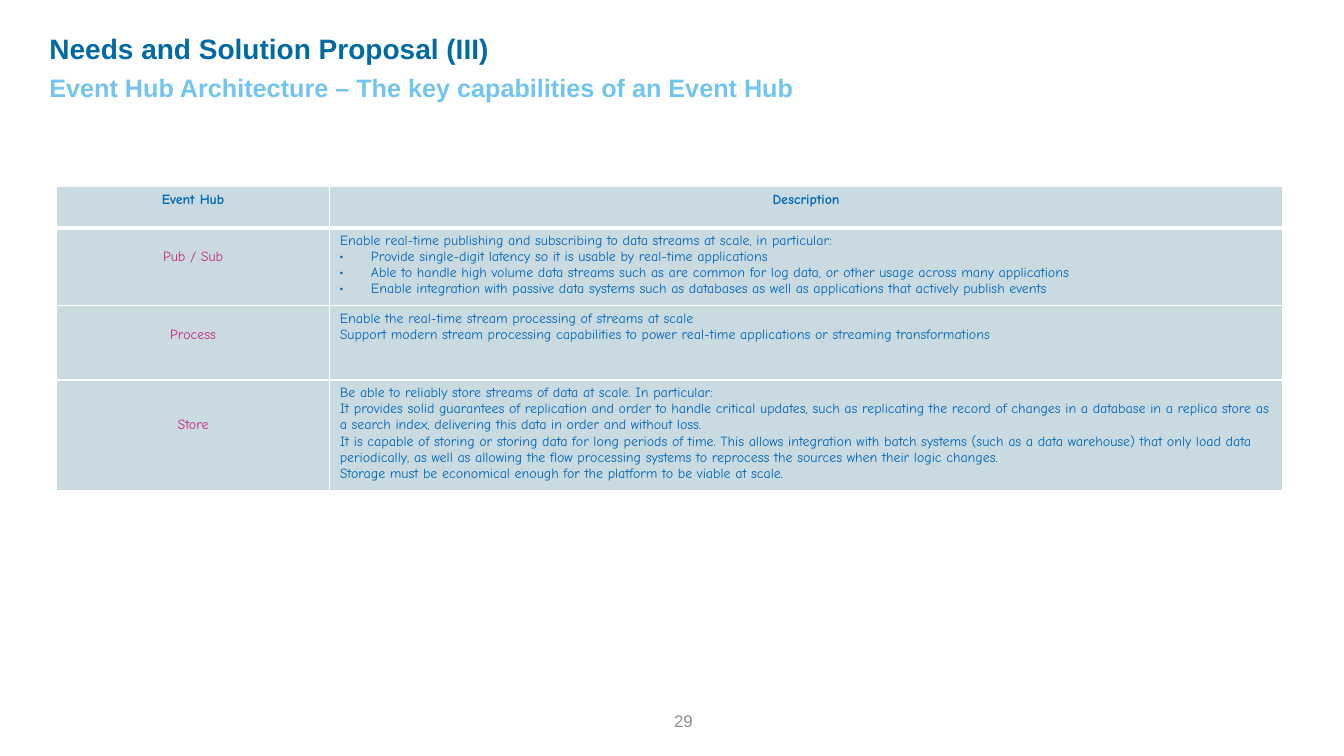
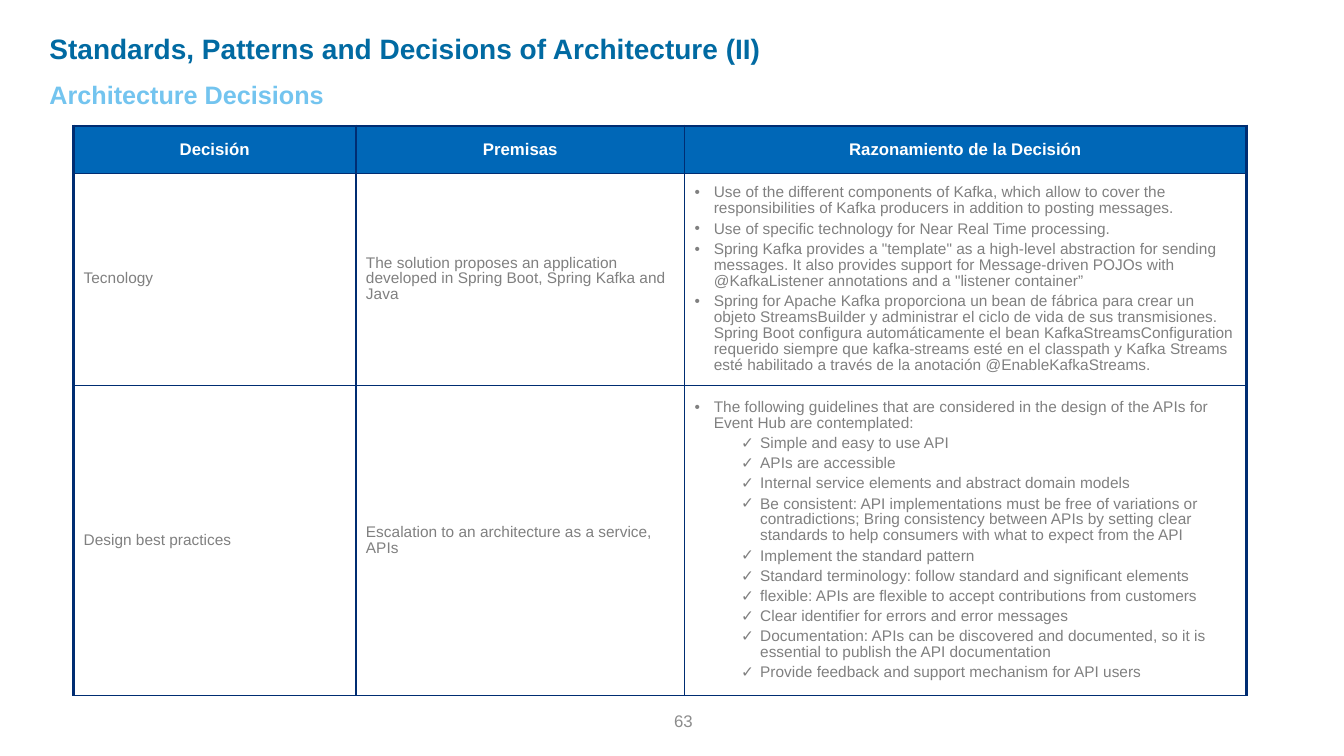
from lxml.etree import SubElement
from pptx import Presentation
from pptx.dml.color import RGBColor
from pptx.enum.text import MSO_ANCHOR as Anchor, MSO_AUTO_SIZE as AutoSize, PP_ALIGN as Align
from pptx.oxml.ns import qn
from pptx.util import Pt

PX = 9144
PAGE = (1333, 750)
TITLE, SUBTITLE, FOOTER = "016AA2", "73C4EF", "8C8C8C"
BLUE, PINK, PALE, NAVY, GREY, WHITE = "0067B7", "C5277F", "C9DAE1", "002D72", "808080", "FFFFFF"

TITLE_FONT = dict(name="Arial", size=Pt(20), bold=True, color=TITLE)
SUBTITLE_FONT = dict(name="Arial", size=Pt(18), bold=True, color=SUBTITLE)
FOOTER_FONT = dict(name="Arial", size=Pt(12), bold=False, color=FOOTER)
COMIC = dict(name="Comic Neue", size=Pt(10), bold=False, color=BLUE)
COMIC_HEAD = dict(COMIC, bold=True)
COMIC_NAME = dict(COMIC, color=PINK)
BODY = dict(name="Arial", size=Pt(11), bold=False, color=GREY)
HEAD = dict(name="Arial", size=Pt(12), bold=True, color=WHITE)

SMALL_DOT = dict(char="•", left=31, hang=31, percent=66, level=0)
DOT = dict(char="•", left=19, hang=19, percent=100, level=0)
CHECK = dict(char="✓", left=65, hang=19, percent=100, level=1)
CENTER = dict(alignment=Align.CENTER)
LEFT = dict(alignment=Align.LEFT)
TIGHT = dict(alignment=Align.LEFT, line_spacing=0.93)

CAPABILITY_HEADS = ["Event Hub", "Description"]
CAPABILITIES = [
    ("Pub / Sub", 1, [
        (None, "Enable real-time publishing and subscribing to data streams at scale, in particular:"),
        (SMALL_DOT, "Provide single-digit latency so it is usable by real-time applications"),
        (SMALL_DOT, "Able to handle high volume data streams such as are common for log data, "
                    "or other usage across many applications"),
        (SMALL_DOT, "Enable integration with passive data systems such as databases as well as "
                    "applications that actively publish events"),
    ]),
    ("Process", 1, [
        (None, "Enable the real-time stream processing of streams at scale"),
        (None, "Support modern stream processing capabilities to power real-time applications "
               "or streaming transformations"),
    ]),
    ("Store", 2, [
        (None, "Be able to reliably store streams of data at scale. In particular:"),
        (None, "It provides solid guarantees of replication and order to handle critical updates, "
               "such as replicating the record of changes in a database in a replica store as a "
               "search index, delivering this data in order and without loss."),
        (None, "It is capable of storing or storing data for long periods of time. This allows "
               "integration with batch systems (such as a data warehouse) that only load data "
               "periodically, as well as allowing the flow processing systems to reprocess the "
               "sources when their logic changes."),
        (None, "Storage must be economical enough for the platform to be viable at scale."),
    ]),
]

DECISION_HEADS = ["Decisión", "Premisas", "Razonamiento de la Decisión"]
DECISIONS = [
    ("Tecnology",
     "The solution proposes an application developed in Spring Boot, Spring Kafka and Java", [
         (DOT, "Use of the different components of Kafka, which allow to cover the "
               "responsibilities of Kafka producers in addition to posting messages."),
         (DOT, "Use of specific technology for Near Real Time processing."),
         (DOT, 'Spring Kafka provides a "template" as a high-level abstraction for sending '
               "messages. It also provides support for Message-driven POJOs with "
               '@KafkaListener annotations and a "listener container”'),
         (DOT, "Spring for Apache Kafka proporciona un bean de fábrica para crear un objeto "
               "StreamsBuilder y administrar el ciclo de vida de sus transmisiones. Spring Boot "
               "configura automáticamente el bean KafkaStreamsConfiguration requerido siempre "
               "que kafka-streams esté en el classpath y Kafka Streams esté habilitado a través "
               "de la anotación @EnableKafkaStreams."),
     ]),
    ("Design best practices",
     "Escalation to an architecture as a service, APIs", [
         (DOT, "The following guidelines that are considered in the design of the APIs for "
               "Event Hub are contemplated:"),
         (CHECK, "Simple and easy to use API"),
         (CHECK, "APIs are accessible"),
         (CHECK, "Internal service elements and abstract domain models"),
         (CHECK, "Be consistent: API implementations must be free of variations or "
                 "contradictions; Bring consistency between APIs by setting clear standards to "
                 "help consumers with what to expect from the API"),
         (CHECK, "Implement the standard pattern"),
         (CHECK, "Standard terminology: follow standard and significant elements"),
         (CHECK, "flexible: APIs are flexible to accept contributions from customers"),
         (CHECK, "Clear identifier for errors and error messages"),
         (CHECK, "Documentation: APIs can be discovered and documented, so it is essential to "
                 "publish the API documentation"),
         (CHECK, "Provide feedback and support mechanism for API users"),
     ]),
]


def px(value):
    return int(value * PX)


def rgb(value):
    return RGBColor.from_string(value)


def set_all(target, values):
    for name, value in values.items():
        setattr(target, name, value)


def add_bullet(para, bullet):
    para.level = bullet["level"]
    props = para._p.get_or_add_pPr()
    props.set("marL", str(px(bullet["left"])))
    props.set("indent", str(px(-bullet["hang"])))
    SubElement(props, qn("a:buSzPct"), val=str(bullet["percent"] * 1000))
    SubElement(props, qn("a:buFont"), typeface="Arial")
    SubElement(props, qn("a:buChar"), char=bullet["char"])


def write(frame, lines, font, layout, gap=0):
    for index, (bullet, text) in enumerate(lines):
        para = frame.add_paragraph() if index else frame.paragraphs[0]
        set_all(para, layout)
        if index and gap:
            para.space_before = Pt(gap)
        if bullet:
            add_bullet(para, bullet)
        span = para.add_run()
        span.text = text
        set_all(span.font, {key: value for key, value in font.items() if key != "color"})
        span.font.color.rgb = rgb(font["color"])


def add_text(page, area, text, font, layout, side=5, **frame_values):
    box = page.shapes.add_textbox(*map(px, area))
    set_all(box.text_frame, dict(
        word_wrap=True, margin_left=px(side), margin_right=px(side),
        margin_top=px(5), margin_bottom=px(5), **frame_values))
    write(box.text_frame, [(None, text)], font, layout)


def add_page(deck, title, subtitle, subtitle_top, number):
    page = deck.slides.add_slide(deck.slide_layouts[6])
    add_text(page, (334, 695, 363, 40), number, FOOTER_FONT, dict(alignment=Align.RIGHT),
             side=10, vertical_anchor=Anchor.MIDDLE)
    grow = dict(auto_size=AutoSize.SHAPE_TO_FIT_TEXT)
    add_text(page, (44, 26, 830, 44), title, TITLE_FONT, LEFT, **grow)
    add_text(page, (44, subtitle_top, 960, 40), subtitle, SUBTITLE_FONT, LEFT, **grow)
    return page


def add_grid(page, left, top, widths, heights):
    shape = page.shapes.add_table(len(heights), len(widths), px(left), px(top),
                                  px(sum(widths)), px(sum(heights)))
    table = shape.table
    set_all(table, dict(first_row=False, horz_banding=False))
    for column, width in zip(table.columns, widths):
        column.width = px(width)
    for row, height in zip(table.rows, heights):
        row.height = px(height)
    return table


def style_cell(cell, fill, line, widths, **values):
    props = cell._tc.get_or_add_tcPr()
    for side, width in zip("LRTB", widths):
        edge = SubElement(props, qn(f"a:ln{side}"), w=str(Pt(width)))
        paint = SubElement(edge, qn("a:solidFill"))
        SubElement(paint, qn("a:srgbClr"), val=line)
    cell.fill.solid()
    cell.fill.fore_color.rgb = rgb(fill)
    set_all(cell, values)


def add_capabilities(page):
    table = add_grid(page, 56, 185, [271, 945], [41, 77, 74, 109])
    for column, text in enumerate(CAPABILITY_HEADS):
        cell = table.cell(0, column)
        style_cell(cell, PALE, WHITE, (1, 1, 1, 3))
        write(cell.text_frame, [(None, text)], COMIC_HEAD, CENTER)
    for row, (name, lines_down, description) in enumerate(CAPABILITIES, 1):
        edges = (1, 1, 3 if row == 1 else 1, 1)
        label, detail = table.cell(row, 0), table.cell(row, 1)
        style_cell(label, PALE, WHITE, edges, margin_top=px(5 + 16 * lines_down))
        style_cell(detail, PALE, WHITE, edges)
        write(label.text_frame, [(None, name)], COMIC_NAME, CENTER)
        write(detail.text_frame, description, COMIC, LEFT)


def add_decisions(page):
    table = add_grid(page, 73, 125, [280, 326, 557], [47, 210, 308])
    rows = [DECISION_HEADS] + DECISIONS
    for row, values in enumerate(rows):
        for column, value in enumerate(values):
            cell = table.cell(row, column)
            edges = (2.25 if column == 0 else 1, 2.25 if column == 2 else 1,
                     2.25 if row == 0 else 1, 1)
            style_cell(cell, WHITE if row else BLUE, NAVY, edges, vertical_anchor=Anchor.MIDDLE)
            lines = [(None, value)] if isinstance(value, str) else value
            font, layout = (BODY, TIGHT) if row else (HEAD, CENTER)
            write(cell.text_frame, lines, font, layout, gap=3)


def main():
    deck = Presentation()
    deck.slide_width, deck.slide_height = map(px, PAGE)
    add_capabilities(add_page(
        deck, "Needs and Solution Proposal (III)",
        "Event Hub Architecture – The key capabilities of an Event Hub", 67, "29"))
    add_decisions(add_page(
        deck, "Standards, Patterns and Decisions of Architecture (II)",
        "Architecture Decisions", 74, "63"))
    deck.save("out.pptx")


if __name__ == "__main__":
    main()
